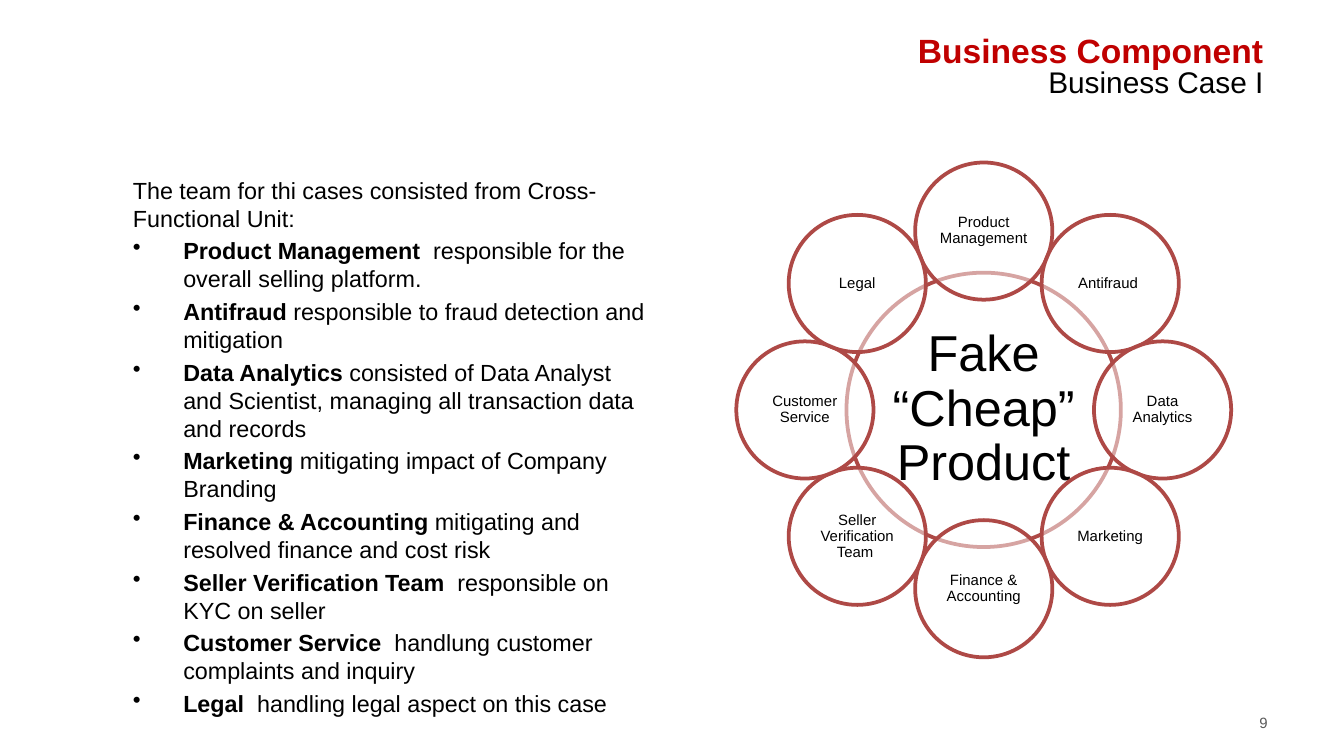
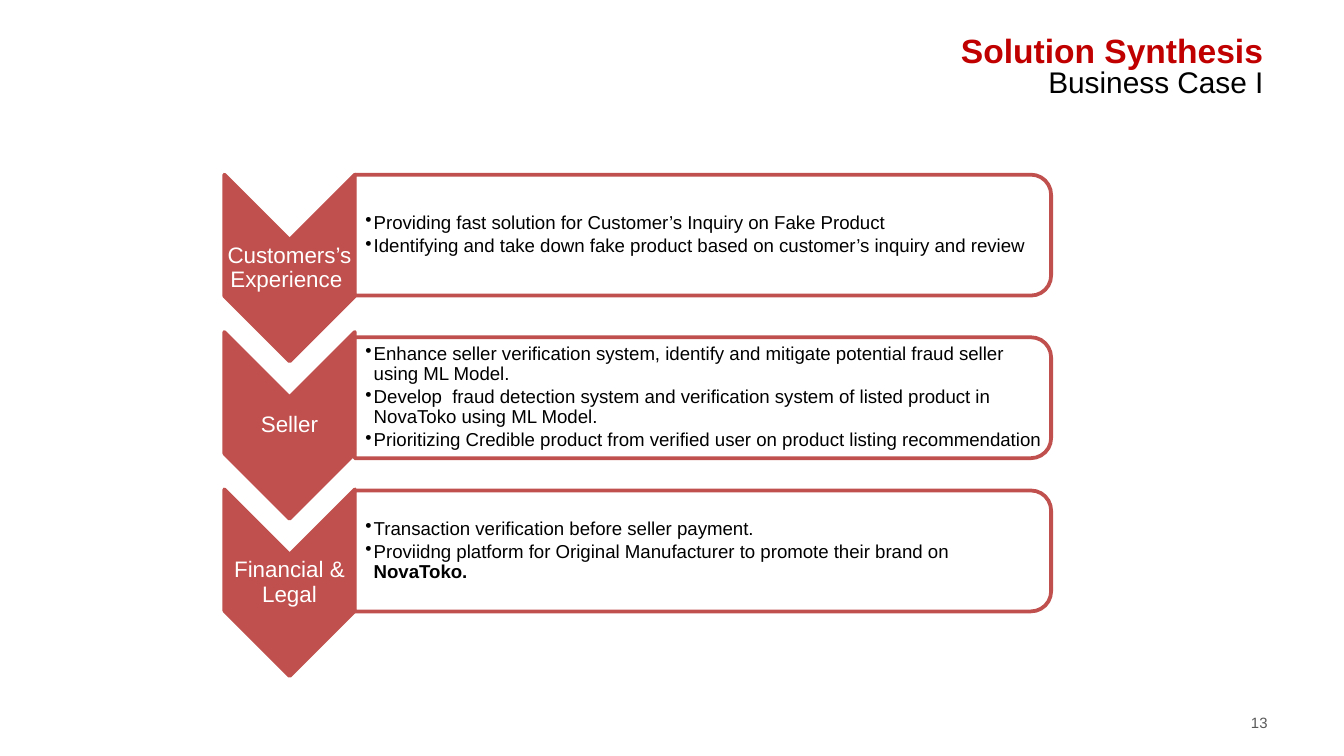
import math
from dataclasses import dataclass

import pptx
import pptx.dml.color
import pptx.enum.shapes
import pptx.enum.text
import pptx.oxml
import pptx.oxml.ns
import pptx.util

Pt = pptx.util.Pt
SHAPES = pptx.enum.shapes.MSO_SHAPE
ALIGN = pptx.enum.text.PP_ALIGN
ANCHOR = pptx.enum.text.MSO_ANCHOR


@dataclass(frozen=True)
class Theme:
    font: str = "Arial"
    black: str = "000000"
    white: str = "FFFFFF"
    title_red: str = "C00000"
    ring_red: str = "AE4946"
    step_red: str = "C0504D"
    gray: str = "595959"
    title_size: float = 18
    subtitle_size: float = 16
    body_size: float = 12.5
    hub_size: float = 27
    step_size: float = 12
    detail_size: float = 10
    small_size: float = 8
    outline: float = 2


THEME = Theme()

TEAM_INTRO = "The team for thi cases consisted from Cross-Functional Unit:"
TEAM_ROLES = [
    ("Product Management ", " responsible for the overall selling platform."),
    ("Antifraud ", "responsible to fraud detection and mitigation"),
    ("Data Analytics ", "consisted of Data Analyst and Scientist, "
     "managing all transaction data and records"),
    ("Marketing ", "mitigating impact of Company Branding"),
    ("Finance & Accounting ", "mitigating and resolved finance and cost risk"),
    ("Seller Verification Team ", " responsible on KYC on seller"),
    ("Customer Service  ", "handlung customer complaints and inquiry"),
    ("Legal ", " handling legal aspect on this case"),
]
TEAM_UNITS = ["Product Management", "Antifraud ", "Data Analytics", "Marketing",
              "Finance & Accounting", "Seller Verification Team ",
              "Customer Service", "Legal"]

# Each step: label, top of its panel, bullet paragraphs
SOLUTION_STEPS = [
    ("Customers’s Experience ", 93.6, [
        "Providing fast solution for Customer’s Inquiry on Fake Product",
        "Identifying and take down fake product based on customer’s "
        "inquiry and review"]),
    ("Seller", 180.7, [
        "Enhance seller verification system, identify and mitigate potential "
        "fraud seller using ML Model.",
        "Develop  fraud detection system and verification system of listed "
        "product in NovaToko using ML Model.",
        "Prioritizing Credible product from verified user on product listing "
        "recommendation"]),
    ("Financial & Legal", 262.8, [
        "Transaction verification before seller payment.",
        [("Proviidng platform for Original Manufacturer to promote their "
          "brand on ", False), ("NovaToko.", True)]]),
]


def rgb(color):
    return pptx.dml.color.RGBColor.from_string(color)


def add_bullet(para, indent):
    properties = para._p.get_or_add_pPr()
    properties.set("marL", str(Pt(indent)))
    properties.set("indent", str(-Pt(indent)))
    bullet = pptx.oxml.parse_xml(
        f'<a:buChar {pptx.oxml.ns.nsdecls("a")} char="•"/>')
    properties.append(bullet)


def write_text(frame, paragraphs, *, size, color=THEME.black, bold=False,
               align=ALIGN.LEFT, anchor=ANCHOR.TOP, insets=None,
               line_spacing=None, before=0, after=0, bullet_indent=0,
               first_bullet=0):
    """Fill a frame; a paragraph is a string or a list of (text, bold) spans."""
    frame.word_wrap = True
    frame.auto_size = pptx.enum.text.MSO_AUTO_SIZE.NONE
    frame.vertical_anchor = anchor
    if insets:
        (frame.margin_left, frame.margin_top,
         frame.margin_right, frame.margin_bottom) = map(Pt, insets)
    if isinstance(paragraphs, str):
        paragraphs = [paragraphs]
    for index, content in enumerate(paragraphs):
        para = frame.add_paragraph() if index else frame.paragraphs[0]
        para.alignment = align
        para.line_spacing = line_spacing
        para.space_before, para.space_after = Pt(before), Pt(after)
        if bullet_indent and index >= first_bullet:
            add_bullet(para, bullet_indent)
        spans = [(content, bold)] if isinstance(content, str) else content
        for text, span_bold in spans:
            span = para.add_run()
            span.text = text
            span.font.name = THEME.font
            span.font.size = Pt(size)
            span.font.bold = span_bold
            span.font.color.rgb = rgb(color)


def add_text(page, text, left, top, width, height, **text_format):
    box = page.shapes.add_textbox(Pt(left), Pt(top), Pt(width), Pt(height))
    write_text(box.text_frame, text, **text_format)


def add_outlined(page, kind, left, top, width, height, *, fill, line,
                 opacity=100, rotation=0):
    shape = page.shapes.add_shape(kind, Pt(left), Pt(top), Pt(width), Pt(height))
    shape.shadow.inherit = False
    shape.rotation = rotation
    shape.fill.solid()
    shape.fill.fore_color.rgb = rgb(fill)
    if opacity < 100:
        color = shape.fill._xPr.find(".//" + pptx.oxml.ns.qn("a:srgbClr"))
        color.append(pptx.oxml.parse_xml(
            f'<a:alpha {pptx.oxml.ns.nsdecls("a")} val="{opacity * 1000}"/>'))
    shape.line.color.rgb = rgb(line)
    shape.line.width = Pt(THEME.outline)
    return shape


def add_quarter_turned(page, kind, left, top, width, height, **look):
    """Place a shape turned by 90 degrees so that it covers the given area."""
    shift = (width - height) / 2
    return add_outlined(page, kind, left + shift, top - shift, height, width,
                        rotation=90, **look)


def add_page(deck, title, number):
    """Start a page with the shared title, subtitle and page number."""
    page = deck.slides.add_slide(deck.slide_layouts[5])
    heading = page.shapes.title
    heading.left, heading.top = Pt(365.8), Pt(19.4)
    heading.width, heading.height = Pt(318.2), Pt(15.1)
    write_text(heading.text_frame, title, size=THEME.title_size, bold=True,
               color=THEME.title_red, align=ALIGN.RIGHT, anchor=ANCHOR.MIDDLE)
    add_text(page, "Business Case I", 366.5, 38.2, 317.5, 11.5,
             size=THEME.subtitle_size, align=ALIGN.RIGHT, anchor=ANCHOR.MIDDLE)
    add_text(page, str(number), 648, 378.7, 38.2, 17.3,
             size=THEME.small_size, color=THEME.gray, align=ALIGN.RIGHT)
    return page


def add_circle(page, text, center_x, center_y, diameter, size, inset):
    circle = add_outlined(page, SHAPES.OVAL, center_x - diameter / 2,
                          center_y - diameter / 2, diameter, diameter,
                          fill=THEME.white, line=THEME.ring_red, opacity=50)
    write_text(circle.text_frame, text, size=size, align=ALIGN.CENTER,
               anchor=ANCHOR.MIDDLE, insets=[inset] * 4, line_spacing=0.9)


def add_wheel(page, hub, units):
    """Draw a hub circle with the units evenly around it, clockwise from top."""
    center_x, center_y, orbit = 527, 219.6, 95.8
    add_circle(page, hub, center_x, center_y, 147, THEME.hub_size, 2.7)
    for index, unit in enumerate(units):
        angle = math.tau * index / len(units)
        add_circle(page, unit, center_x + orbit * math.sin(angle),
                   center_y - orbit * math.cos(angle), 73.5,
                   THEME.small_size, 0.8)


def add_step(page, label, details, top, panel_top):
    """Draw a downward chevron and the panel to its right."""
    left, width, height = 120.2, 69.9, 100
    panel_left = left + width
    add_quarter_turned(page, SHAPES.CHEVRON, left, top, width, height,
                       fill=THEME.step_red, line=THEME.step_red)
    add_text(page, label, left, top + width / 2, width, height - width,
             size=THEME.step_size, color=THEME.white, align=ALIGN.CENTER,
             anchor=ANCHOR.MIDDLE, insets=[0.7] * 4, line_spacing=0.9)
    add_quarter_turned(page, SHAPES.ROUND_2_SAME_RECTANGLE, panel_left,
                       panel_top, 373, 64.8, fill=THEME.white,
                       line=THEME.step_red, opacity=90)
    add_text(page, details, panel_left, panel_top + 3.2, 370, 58.4,
             size=THEME.detail_size, anchor=ANCHOR.MIDDLE,
             insets=[5.6, 0.7, 0.7, 0.7], line_spacing=0.9, after=1.5,
             bullet_indent=4.5)


def build_component_page(deck):
    page = add_page(deck, "Business Component", 9)
    add_wheel(page, "Fake “Cheap” Product", TEAM_UNITS)
    roles = [[(unit, True), (duty, False)] for unit, duty in TEAM_ROLES]
    add_text(page, [TEAM_INTRO] + roles, 64.1, 90.7, 291.6, 284.4,
             size=THEME.body_size, before=2.5, bullet_indent=27,
             first_bullet=1)


def build_solution_page(deck):
    page = add_page(deck, "Solution Synthesis", 13)
    first_top, pitch = 93.6, 84.3
    for index, (label, panel_top, details) in enumerate(SOLUTION_STEPS):
        add_step(page, label, details, first_top + index * pitch, panel_top)


def main():
    deck = pptx.Presentation()
    deck.slide_width, deck.slide_height = Pt(720), Pt(405)
    build_component_page(deck)
    build_solution_page(deck)
    deck.save("out.pptx")


if __name__ == "__main__":
    main()
